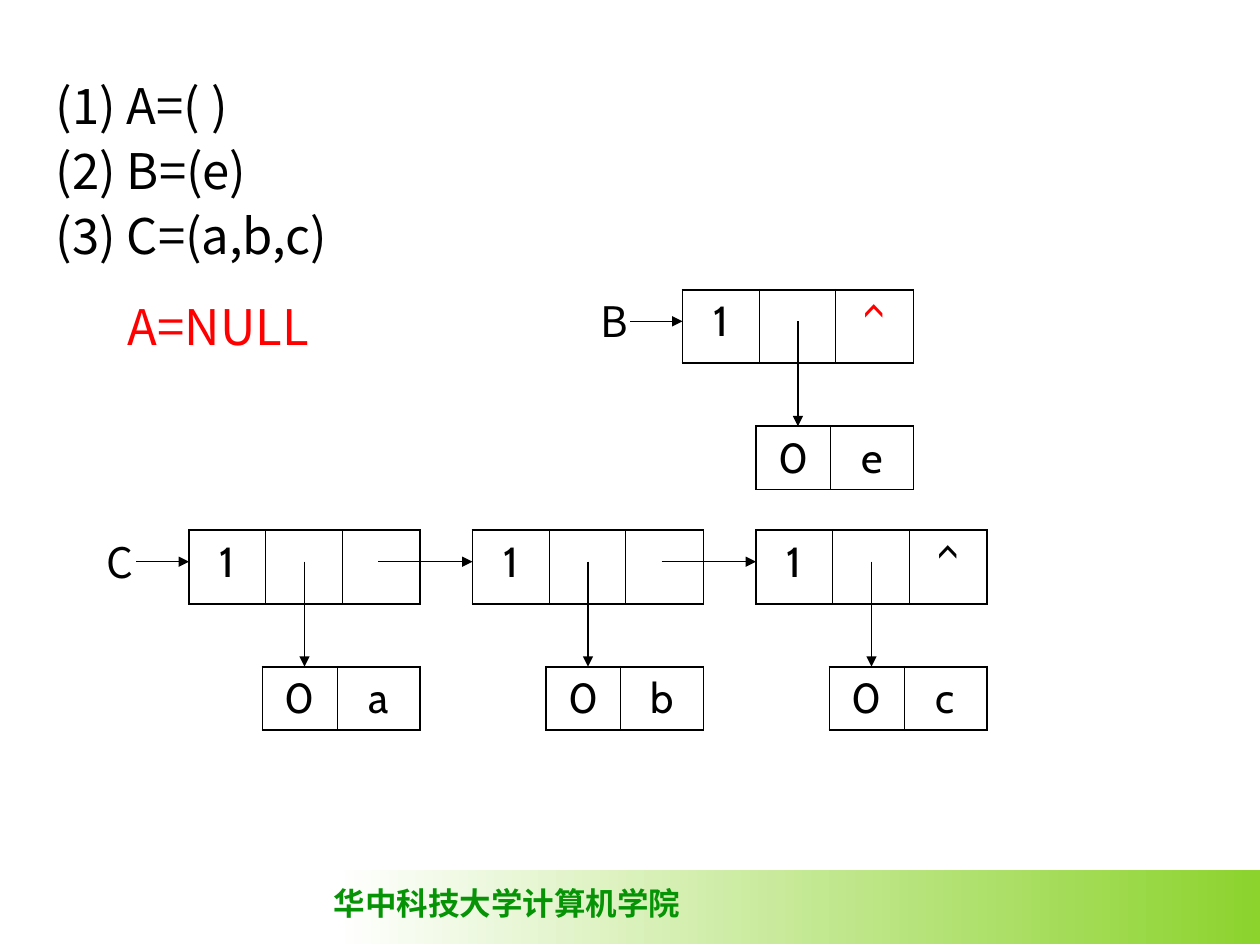
from lxml.etree import SubElement
from pptx import Presentation
from pptx.dml.color import RGBColor
from pptx.enum.shapes import MSO_CONNECTOR as CONN, MSO_SHAPE as SHAPE
from pptx.enum.text import MSO_ANCHOR as ANCHOR, MSO_AUTO_SIZE as AUTO, PP_ALIGN as ALIGN
from pptx.oxml import parse_xml
from pptx.oxml.ns import nsdecls, qn
from pptx.util import Emu, Pt

PX = 7620  # EMU per px: 120 px to the inch
COLORS = {"black": "000000", "red": "FF0000", "white": "FFFFFF",
          "lime": "8CD32D", "green": "069406"}
SANS, CELL_FONT, FOOTER_FONT = "Noto Sans CJK SC", "Cabin", "Times New Roman"
OUTER, INNER = 1.08, 0.45  # cell border widths in points


def px(*values):
    return [Emu(v * PX) for v in values]


def rgb(name):
    return RGBColor.from_string(COLORS[name])


def set_text(p, text, font, size, color="black", bold=False, **fmt):
    r = p.add_run()
    r.text = text
    r.font.color.rgb = rgb(color)
    for name, value in {"name": font, "size": Pt(size), "bold": bold}.items():
        setattr(r.font, name, value)
    for name, value in fmt.items():
        setattr(p, name, value)


def add_text(s, box, text, font, size, wrap=True, **fmt):
    tf = s.shapes.add_textbox(*px(*box)).text_frame
    tf.word_wrap = wrap
    tf.auto_size = AUTO.SHAPE_TO_FIT_TEXT
    set_text(tf.paragraphs[0], text, font, size, **fmt)


def add_arrow(s, x1, y1, x2, y2):
    sp = s.shapes.add_connector(CONN.STRAIGHT, *px(x1, y1, x2, y2))
    sp.line.color.rgb = rgb("black")
    sp.line.width = Pt(0.75)
    SubElement(sp.line._get_or_add_ln(), qn("a:tailEnd"), type="triangle")
    SubElement(sp._element.spPr, qn("a:effectLst"))


def set_borders(cell, widths):
    tcPr = cell._tc.get_or_add_tcPr()
    for i, (side, width) in enumerate(widths.items()):
        tcPr.insert(i, parse_xml(
            f'<a:ln{side} {nsdecls("a")} w="{Pt(width)}"><a:solidFill>'
            f'<a:srgbClr val="{COLORS["black"]}"/></a:solidFill></a:ln{side}>'))


def add_cells(s, x, y, height, widths, texts, mark_color="black"):
    """One-row table; the last cell takes mark_color."""
    last = len(widths) - 1
    table = s.shapes.add_table(1, last + 1, *px(x, y, sum(widths), height)).table
    table.first_row = table.horz_banding = False
    table.rows[0].height = Emu(height * PX)
    for i, (width, text) in enumerate(zip(widths, texts)):
        table.columns[i].width = Emu(width * PX)
        cell = table.cell(0, i)
        cell.fill.background()
        set_borders(cell, {"L": INNER if i else OUTER,
                           "R": INNER if i < last else OUTER,
                           "T": OUTER, "B": OUTER})
        if text:
            set_text(cell.text_frame.paragraphs[0], text, CELL_FONT, 24,
                     mark_color if i == last else "black",
                     alignment=ALIGN.CENTER, space_before=Pt(6))


def add_node(s, x, y, atom, end="", end_color="black"):
    """List node with its atom node below and the pointer between them."""
    add_cells(s, x, y, 70, [73, 73, 74], ["1", "", end], end_color)
    add_cells(s, x + 70, y + 130, 60, [71, 79], ["0", atom])
    add_arrow(s, x + 110, y + 30, x + 110, y + 130)


def add_list(s, x, y, name, atoms, end_color="black"):
    """Named head pointer followed by a chain of nodes."""
    pitch = 270
    add_text(s, (x - 90, y, 50, 60), name, SANS, 24, space_before=Pt(15))
    add_arrow(s, x - 50, y + 30, x, y + 30)
    for i, atom in enumerate(atoms):
        left = x + i * pitch
        is_last = i == len(atoms) - 1
        add_node(s, left, y, atom, "^" if is_last else "", end_color)
        if not is_last:
            add_arrow(s, left + 180, y + 30, left + pitch, y + 30)


def add_definitions(s, box, lines):
    sp = s.placeholders[1]
    sp.left, sp.top, sp.width, sp.height = px(*box)
    tf = sp.text_frame
    tf.auto_size, tf.vertical_anchor = AUTO.NONE, ANCHOR.TOP
    for i, line in enumerate(lines):
        p = tf.add_paragraph() if i else tf.paragraphs[0]
        set_text(p, line, SANS, 28, space_before=Pt(7),
                 line_spacing=0.9 if i else 1.0)
        pPr = p._p.get_or_add_pPr()
        pPr.set("marL", str(21 * PX))
        pPr.set("indent", "0")
        SubElement(pPr, qn("a:buNone"))


def add_footer(s, x, y, width, height):
    sp = s.shapes.add_shape(SHAPE.RECTANGLE, *px(x, y, width, height))
    sp.shadow.inherit = False
    sp.line.fill.background()
    sp.fill.gradient()
    sp.fill.gradient_angle = 0
    for stop, color, position in zip(sp.fill.gradient_stops, ("white", "lime"), (0, 1)):
        stop.color.rgb = rgb(color)
        stop.position = position
    add_text(s, (x - 14, y + 7, 354, 48), "华中科技大学计算机学院", FOOTER_FONT, 18,
             wrap=False, color="green", bold=True)


def main():
    prs = Presentation()
    prs.slide_width, prs.slide_height = px(1200, 900)
    s = prs.slides.add_slide(prs.slide_layouts[1])
    title = s.shapes.title._element
    title.getparent().remove(title)

    add_footer(s, 320, 829, 880, 70)
    # List definitions and the empty list
    add_definitions(s, (20, 66, 448, 200), ["(1) A=( )", "(2) B=(e)", "(3) C=(a,b,c)"])
    add_text(s, (110, 276, 390, 68), "A=NULL", SANS, 28,
             color="red", space_before=Pt(17.5))
    # Linked storage of the other lists
    add_list(s, 650, 276, "B", ["e"], end_color="red")
    add_list(s, 180, 505, "C", ["a", "b", "c"])
    prs.save("out.pptx")


if __name__ == "__main__":
    main()
